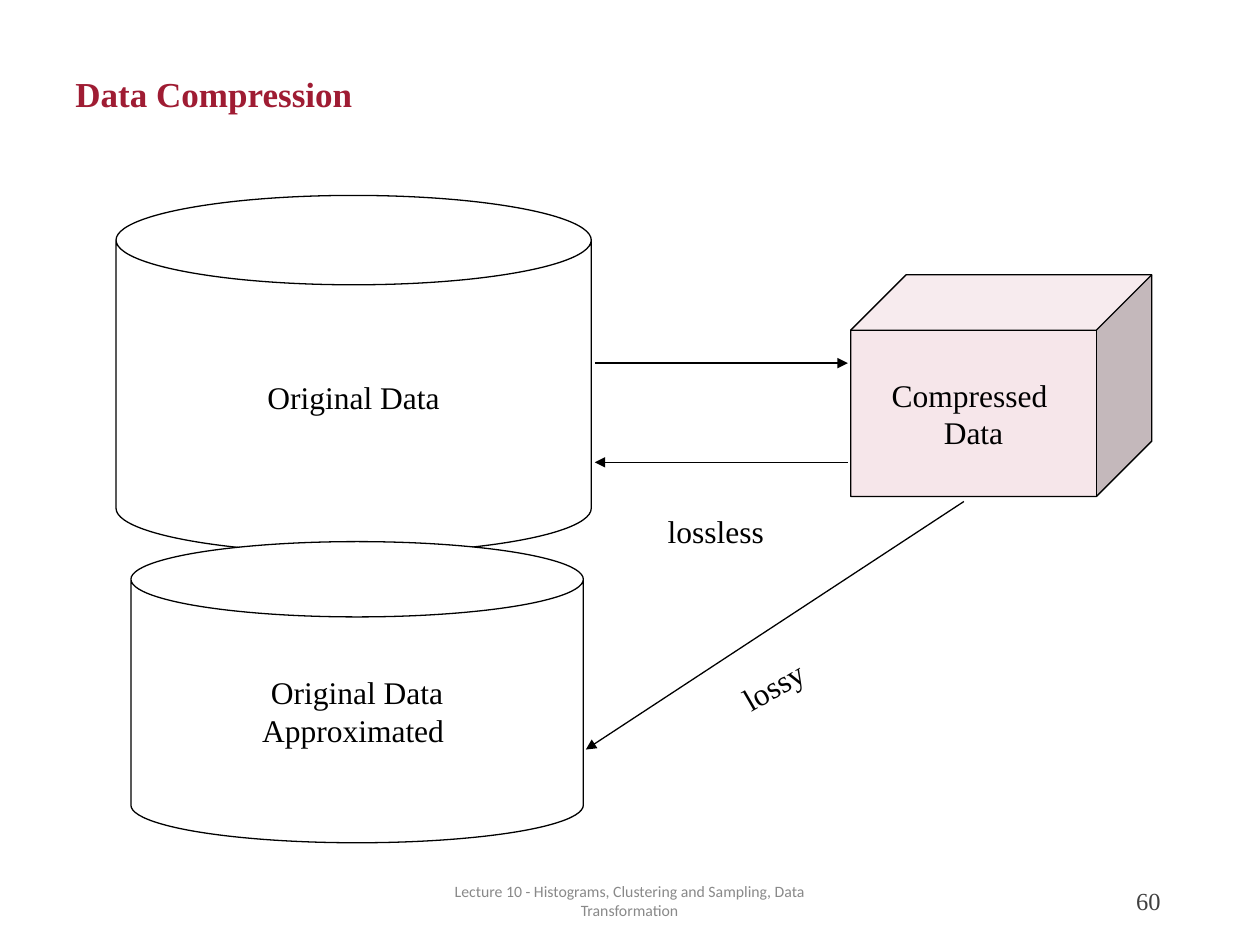
from lxml import etree
from pptx import Presentation
from pptx.dml.color import RGBColor
from pptx.enum.shapes import MSO_CONNECTOR, MSO_SHAPE
from pptx.enum.text import MSO_ANCHOR, MSO_AUTO_SIZE, PP_ALIGN
from pptx.oxml.ns import qn
from pptx.util import Cm, Pt

CAN, CUBE = MSO_SHAPE.CAN, MSO_SHAPE.CUBE
STRAIGHT = MSO_CONNECTOR.STRAIGHT
TOP, MIDDLE = MSO_ANCHOR.TOP, MSO_ANCHOR.MIDDLE
LEFT, CENTER, RIGHT = PP_ALIGN.LEFT, PP_ALIGN.CENTER, PP_ALIGN.RIGHT
NO_AUTOFIT = MSO_AUTO_SIZE.NONE
TITLE_ONLY = 5

THEME = {
    "serif": "Times New Roman", "sans": "Calibri",
    "title": "9F1C33", "ink": "000000", "footer": "898989", "number": "404040",
    "paper": "FFFFFF", "blush": "F6E6EA",
    "title_size": 20, "label_size": 18, "number_size": 14, "footer_size": 9,
    "line_width": 0.75,
}

TITLE = ("Data Compression", (1.27, 0.76, 22.86, 2.36))
STORES = [
    (CAN, "paper", ["Original Data"], (2.34, 3.94, 9.58, 7.21)),
    (CUBE, "blush", ["Compressed ", "Data"], (17.15, 5.54, 6.07, 4.47)),
    (CAN, "paper", ["Original Data", "Approximated "], (2.64, 10.92, 9.12, 6.07)),
]
ARROWS = [
    ((11.99, 7.32), (17.09, 7.32)),
    ((17.09, 9.32), (11.99, 9.32)),
    ((19.43, 10.11), (11.81, 15.11)),
]
ARROW_LABELS = [
    ("lossless", (13.21, 10.19, 2.44, 1.02), 0),
    ("lossy", (14.68, 13.31, 1.8, 1.02), 330),
]
FOOTERS = [
    ("Lecture 10 - Histograms, Clustering and Sampling, Data Transformation",
     (8.41, 17.65, 8.56, 1.02), "sans", "footer", CENTER),
    ("60", (17.93, 17.65, 5.72, 1.02), "serif", "number", RIGHT),
]


def color(name):
    return RGBColor.from_string(THEME[name])


def lengths(values):
    return [Cm(value) for value in values]


def write(shape, lines, font="serif", size="label_size", ink="ink",
          bold=False, align=CENTER, anchor=MIDDLE, wrap=False, spacing=None):
    frame = shape.text_frame
    frame.text = "\n".join(lines)
    frame.auto_size = NO_AUTOFIT
    frame.word_wrap = wrap
    frame.vertical_anchor = anchor
    frame.margin_left = frame.margin_right = Cm(0.25)
    frame.margin_top = frame.margin_bottom = Cm(0.13)
    for paragraph in frame.paragraphs:
        paragraph.alignment = align
        paragraph.line_spacing = spacing
        for run in paragraph.runs:
            run.font.name = THEME[font]
            run.font.size = Pt(THEME[size])
            run.font.bold = bold
            run.font.color.rgb = color(ink)


def outline(shape):
    shape.line.color.rgb = color("ink")
    shape.line.width = Pt(THEME["line_width"])


def add_store(slide, kind, fill, lines, box):
    shape = slide.shapes.add_shape(kind, *lengths(box))
    shape.shadow.inherit = False
    shape.fill.solid()
    shape.fill.fore_color.rgb = color(fill)
    outline(shape)
    write(shape, lines)


def add_arrow(slide, start, end):
    arrow = slide.shapes.add_connector(STRAIGHT, *lengths(start + end))
    outline(arrow)
    etree.SubElement(arrow.line._get_or_add_ln(), qn("a:tailEnd"), type="triangle")
    etree.SubElement(arrow._element.spPr, qn("a:effectLst"))


def main():
    presentation = Presentation()
    presentation.slide_width, presentation.slide_height = Cm(25.4), Cm(19.05)
    slide = presentation.slides.add_slide(presentation.slide_layouts[TITLE_ONLY])

    text, box = TITLE
    title = slide.shapes.title
    title.left, title.top, title.width, title.height = lengths(box)
    write(title, [text], size="title_size", ink="title", bold=True,
          align=LEFT, wrap=True, spacing=0.9)

    for store in STORES:
        add_store(slide, *store)
    for start, end in ARROWS:
        add_arrow(slide, start, end)
    for text, box, rotation in ARROW_LABELS:
        label = slide.shapes.add_textbox(*lengths(box))
        label.rotation = rotation
        write(label, [text], align=LEFT, anchor=TOP)
    for text, box, font, role, align in FOOTERS:
        footer = slide.shapes.add_textbox(*lengths(box))
        write(footer, [text], font=font, size=f"{role}_size", ink=role,
              align=align, wrap=True)

    presentation.save("out.pptx")


if __name__ == "__main__":
    main()
